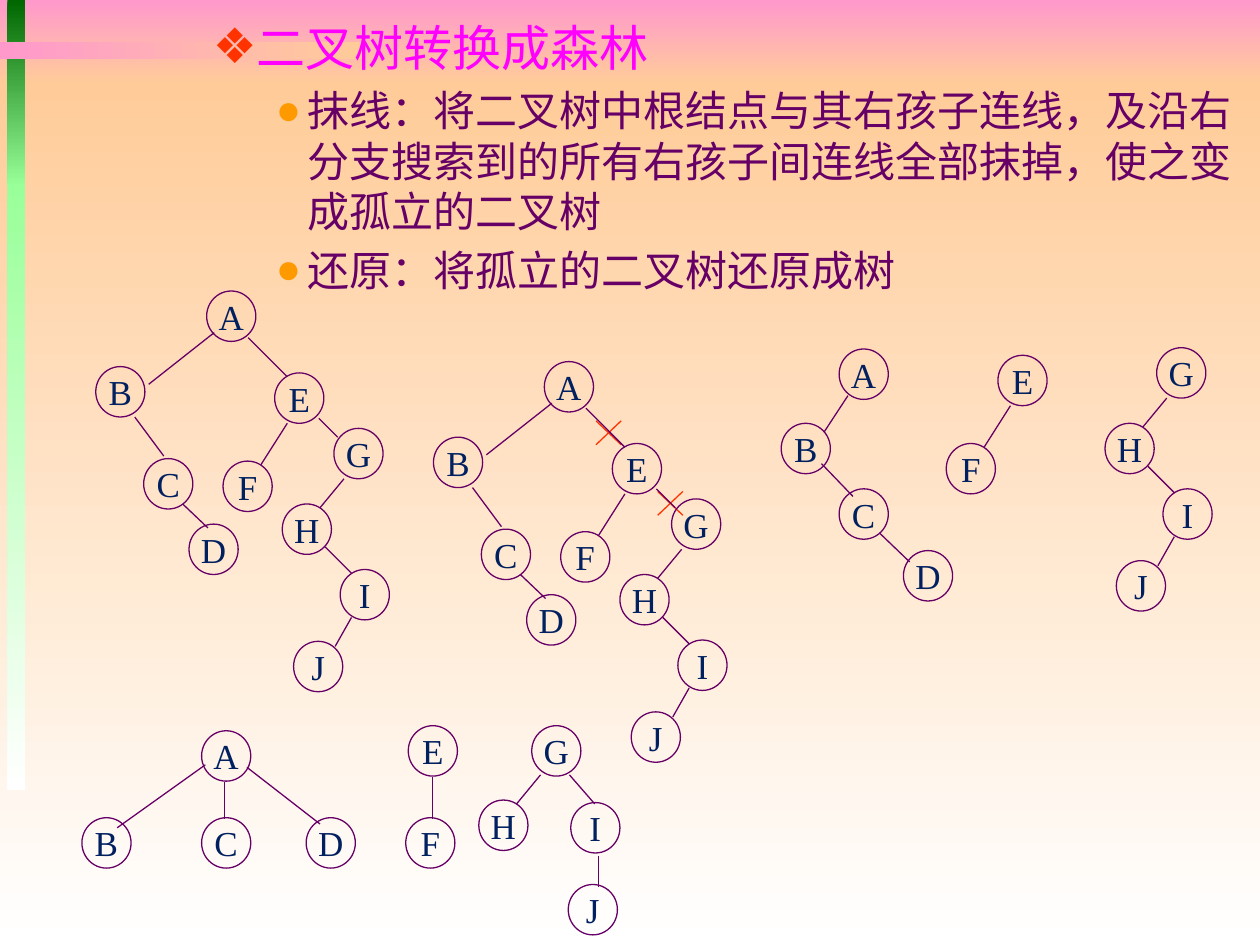
from dataclasses import dataclass

from lxml import etree
from pptx import Presentation
from pptx.dml.color import RGBColor
from pptx.enum.shapes import MSO_CONNECTOR, MSO_SHAPE
from pptx.enum.text import MSO_ANCHOR, PP_ALIGN
from pptx.oxml.ns import qn
from pptx.util import Pt

PX = 9144
STRAIGHT = MSO_CONNECTOR.STRAIGHT
OVAL, RECTANGLE = MSO_SHAPE.OVAL, MSO_SHAPE.RECTANGLE
CENTER, MIDDLE = PP_ALIGN.CENTER, MSO_ANCHOR.MIDDLE
DOWNWARD, RIGHTWARD = 270, 0
NODE_SIZE = (39, 40)
CROSS_SIZE = (20, 19)


@dataclass(frozen=True)
class Theme:
    """Colours, fonts and type sizes of the slide."""
    rose: str = "FF99CC"
    peach: str = "FFCC99"
    white: str = "FFFFFF"
    forest: str = "006600"
    mint: str = "99FF99"
    heading: str = "FF00FF"
    body: str = "660066"
    edge: str = "660066"
    label: str = "002060"
    cut: str = "FF3300"
    heading_bullet: str = "FF3300"
    body_bullet: str = "FF9900"
    text_font: str = "Arial"
    label_font: str = "Times New Roman"
    heading_size: int = 28
    body_size: int = 24
    label_size: int = 20
    line_width: float = 0.75


THEME = Theme()

# node letter -> offset, followed by edges as start and end offsets
BRANCH_ABCD = (
    {"A": (88, 0), "B": (0, 60), "C": (38, 133), "D": (74, 185)},
    [(94, 33, 42, 74), (31, 100, 54, 131), (69, 169, 89, 188)],
)
BINARY_ABCD = (
    {"A": (46, 0), "B": (0, 59), "C": (46, 111), "D": (97, 160)},
    [(53, 37, 34, 66), (32, 91, 57, 117), (78, 146, 102, 169)],
)
BINARY_EF = ({"E": (41, 0), "F": (0, 70)}, [(51, 40, 30, 73)])
BINARY_GHIJ = (
    {"G": (41, 0), "H": (0, 60), "I": (46, 112), "J": (9, 169)},
    [(49, 40, 30, 63), (34, 94, 55, 115), (55, 150, 42, 173)],
)
TREE_ABCD = (
    {"A": (95, 0), "B": (0, 69), "C": (95, 69), "D": (178, 69)},
    [(113, 41, 113, 70), (98, 27, 28, 77), (131, 29, 189, 74)],
)
TREE_EF = ({"E": (2, 0), "F": (0, 73)}, [(21, 41, 21, 74)])
TREE_GHIJ = (
    {"G": (42, 0), "H": (0, 59), "I": (73, 61), "J": (71, 126)},
    [(49, 39, 30, 62), (72, 39, 92, 62), (95, 103, 95, 128)],
)
RIGHT_CHAIN = ({}, [(121, 37, 152, 68), (177, 101, 192, 116)])


def emu(*lengths):
    """Turn px lengths into EMU."""
    return [length * PX for length in lengths]


def write(paragraph, text, *, font, size, color, align=None):
    """Put formatted text into a paragraph."""
    run = paragraph.add_run()
    run.text = text
    run.font.name = font
    run.font.size = Pt(size)
    run.font.color.rgb = RGBColor.from_string(color)
    if align is not None:
        paragraph.alignment = align


def set_bullet(paragraph, mark, color, indent, hanging=25):
    """Give a paragraph a coloured bullet and a hanging indent."""
    properties = paragraph._p.get_or_add_pPr()
    properties.set("marL", str(indent * PX))
    properties.set("indent", str(-hanging * PX))
    tint = etree.SubElement(properties, qn("a:buClr"))
    etree.SubElement(tint, qn("a:srgbClr"), val=color)
    etree.SubElement(properties, qn("a:buFont"), typeface=THEME.text_font)
    etree.SubElement(properties, qn("a:buChar"), char=mark)


def add_band(shapes, box, start, end, angle):
    """Draw a rectangle with a two-colour gradient."""
    band = shapes.add_shape(RECTANGLE, *emu(*box))
    band.shadow.inherit = False
    band.line.fill.background()
    band.fill.gradient()
    band.fill.gradient_angle = angle
    for stop, position, color in zip(band.fill.gradient_stops, (0, 1), (start, end)):
        stop.position = position
        stop.color.rgb = RGBColor.from_string(color)


def add_line(shapes, left, top, ends, color=THEME.edge):
    """Draw a thin straight line between two offsets."""
    x1, y1, x2, y2 = ends
    line = shapes.add_connector(STRAIGHT, *emu(left + x1, top + y1, left + x2, top + y2))
    line.line.color.rgb = RGBColor.from_string(color)
    line.line.width = Pt(THEME.line_width)
    etree.SubElement(line._element.spPr, qn("a:effectLst"))


def add_node(shapes, left, top, letter):
    """Draw one lettered tree node."""
    node = shapes.add_shape(OVAL, *emu(left, top, *NODE_SIZE))
    node.shadow.inherit = False
    node.fill.background()
    node.line.color.rgb = RGBColor.from_string(THEME.edge)
    node.line.width = Pt(THEME.line_width)
    frame = node.text_frame
    frame.word_wrap = False
    frame.vertical_anchor = MIDDLE
    write(frame.paragraphs[0], letter, font=THEME.label_font,
          size=THEME.label_size, color=THEME.label, align=CENTER)


def add_tree(shapes, left, top, tree):
    """Draw the nodes and edges of a tree from its top-left corner."""
    nodes, edges = tree
    for letter, (x, y) in nodes.items():
        add_node(shapes, left + x, top + y, letter)
    for ends in edges:
        add_line(shapes, left, top, ends)


def add_cross(shapes, left, top):
    """Mark an edge as removed."""
    width, height = CROSS_SIZE
    for ends in ((0, 0, width, height), (width, 0, 0, height)):
        add_line(shapes, left, top, ends, THEME.cut)


def add_binary_tree(slide, left, top, cuts=()):
    """Draw the whole binary tree, with crosses on its cut edges."""
    shapes = slide.shapes.add_group_shape().shapes
    for x, y in cuts:
        add_cross(shapes, left + x, top + y)
    for x, y, part in ((0, 0, BRANCH_ABCD), (101, 65, BINARY_EF),
                       (148, 109, BINARY_GHIJ), (0, 0, RIGHT_CHAIN)):
        add_tree(shapes, left + x, top + y, part)


def add_forest(slide, *placed_trees):
    """Draw separate trees as one group."""
    shapes = slide.shapes.add_group_shape().shapes
    for left, top, tree in placed_trees:
        add_tree(shapes, left, top, tree)


def add_backdrop(slide, width, height):
    """Draw the gradient background and the corner bars."""
    fold = 67
    for box, start, end, angle in (
        ((0, 0, width, fold), THEME.rose, THEME.peach, DOWNWARD),
        ((0, fold, width, height - fold), THEME.peach, THEME.white, DOWNWARD),
        ((6, 0, 14, 148), THEME.forest, THEME.mint, DOWNWARD),
        ((6, 146, 14, 481), THEME.mint, THEME.white, DOWNWARD),
        ((0, 33, 289, 14), THEME.rose, THEME.peach, RIGHTWARD),
    ):
        add_band(slide.shapes, box, start, end, angle)


def add_explanation(slide, left, top, width, height):
    """Write the heading and the two conversion steps."""
    frame = slide.shapes.add_textbox(*emu(left, top, width, height)).text_frame
    frame.word_wrap = True
    heading = frame.paragraphs[0]
    heading.level = 2
    set_bullet(heading, "❖", THEME.heading_bullet, 125)
    write(heading, "二叉树转换成森林", font=THEME.text_font,
          size=THEME.heading_size, color=THEME.heading)
    for step in (
        "抹线：将二叉树中根结点与其右孩子连线，及沿右分支搜索到的所有右孩子间连线全部抹掉，使之变成孤立的二叉树",
        "还原：将孤立的二叉树还原成树",
    ):
        paragraph = frame.add_paragraph()
        paragraph.level = 3
        set_bullet(paragraph, "●", THEME.body_bullet, 175)
        paragraph.space_before = Pt(THEME.body_size * 0.2)
        write(paragraph, step, font=THEME.text_font,
              size=THEME.body_size, color=THEME.body)


def main():
    """Build and save the slide."""
    deck = Presentation()
    deck.slide_width, deck.slide_height = emu(1000, 750)
    slide = deck.slides.add_slide(deck.slide_layouts[6])
    add_backdrop(slide, 1000, 750)
    add_explanation(slide, 59, 9, 941, 226)
    add_binary_tree(slide, 76, 231)
    add_binary_tree(slide, 344, 287, cuts=((129, 47), (178, 103)))
    add_forest(slide, (620, 277, BINARY_ABCD), (751, 282, BINARY_EF), (877, 276, BINARY_GHIJ))
    add_forest(slide, (65, 580, TREE_ABCD), (322, 576, TREE_EF), (380, 576, TREE_GHIJ))
    deck.save("out.pptx")


if __name__ == "__main__":
    main()
